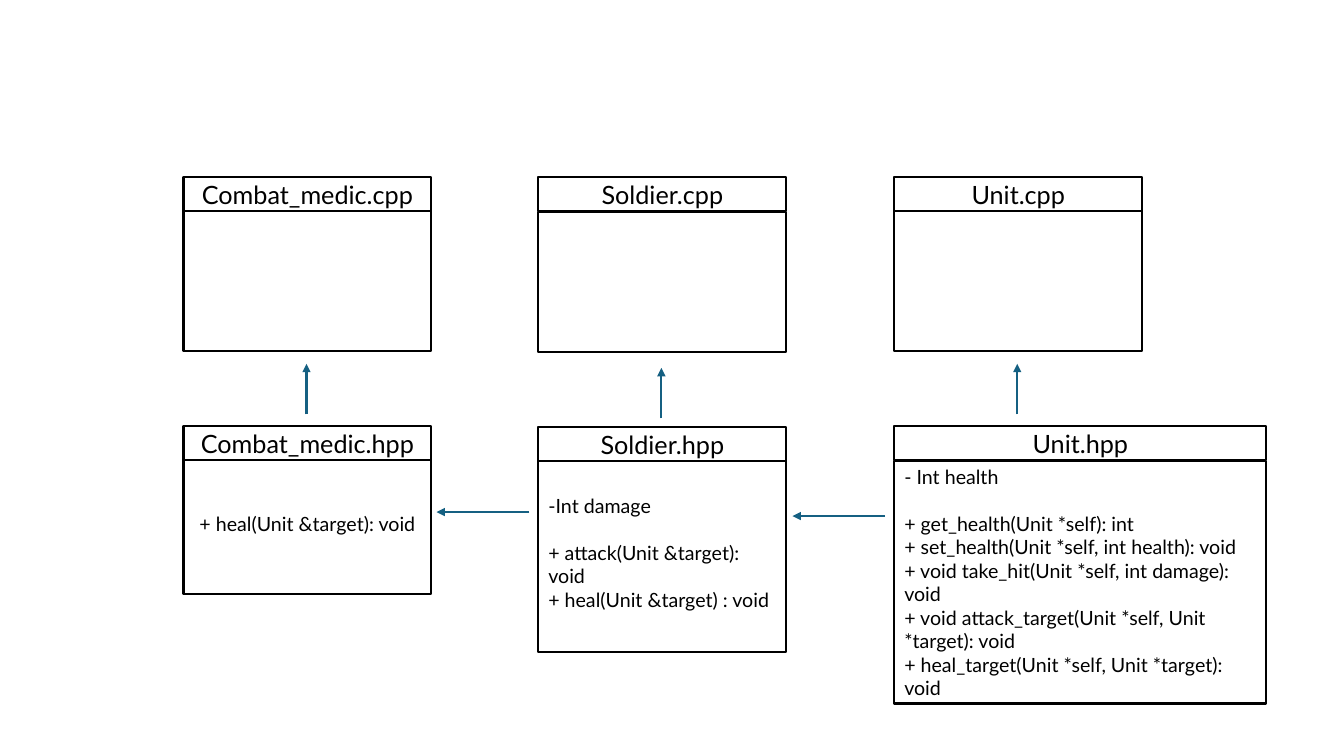
from dataclasses import dataclass

from lxml.etree import SubElement
from pptx import Presentation
from pptx.dml.color import RGBColor
from pptx.enum.shapes import MSO_CONNECTOR as Connector, MSO_SHAPE as Shape
from pptx.enum.text import MSO_ANCHOR as Anchor, PP_ALIGN as Align
from pptx.oxml.ns import qn
from pptx.util import Inches, Pt


@dataclass(frozen=True)
class Theme:
    """Colours, type and line sizes of the diagram."""
    font: str = "Lato"
    paper: RGBColor = RGBColor(255, 255, 255)
    ink: RGBColor = RGBColor(0, 0, 0)
    arrow: RGBColor = RGBColor(0x15, 0x60, 0x82)
    title: Pt = Pt(18)
    member: Pt = Pt(14)
    section_gap: Pt = Pt(16.8)
    stroke: Pt = Pt(1.5)


THEME = Theme()
HEADER_HEIGHT = 0.33
BOX_WIDTH = 2.46
BODY_HEIGHT = 1.39
MEDIC_X, SOLDIER_X, UNIT_X = 1.82, 5.34, 8.87

SOLDIER_SECTIONS = [
    ["-Int damage"],
    ["+ attack(Unit &target): void", "+ heal(Unit &target) : void"],
]
UNIT_SECTIONS = [
    ["- Int health"],
    [
        "+ get_health(Unit *self): int",
        "+ set_health(Unit *self, int health): void",
        "+ void take_hit(Unit *self, int damage): void",
        "+ void attack_target(Unit *self, Unit *target): void",
        "+ heal_target(Unit *self, Unit *target): void",
    ],
]

# name, left, header top, body top, width, body height, sections, alignment
FILES = [
    ("Combat_medic.cpp", MEDIC_X, 1.76, 2.09, BOX_WIDTH, BODY_HEIGHT, [], Align.LEFT),
    ("Soldier.cpp", SOLDIER_X, 1.76, 2.1, BOX_WIDTH, BODY_HEIGHT, [], Align.LEFT),
    ("Unit.cpp", UNIT_X, 1.76, 2.09, BOX_WIDTH, BODY_HEIGHT, [], Align.LEFT),
    ("Combat_medic.hpp", MEDIC_X, 4.23, 4.5, BOX_WIDTH, BODY_HEIGHT,
     [["+ heal(Unit &target): void"]], Align.CENTER),
    ("Soldier.hpp", SOLDIER_X, 4.24, 4.49, BOX_WIDTH, 1.98, SOLDIER_SECTIONS, Align.LEFT),
    ("Unit.hpp", UNIT_X, 4.23, 4.57, 3.69, 2.41, UNIT_SECTIONS, Align.LEFT),
]

INCLUDE_ARROWS = [(3.04, 4.11), (6.56, 4.15), (10.09, 4.11)]
INHERIT_ARROWS = [(5.25, 5.08), (8.78, 5.12)]


def add_box(page, left, top, width, height, sections, size, align):
    """Draw an outlined rectangle holding sections of text lines."""
    box = page.shapes.add_shape(Shape.RECTANGLE, *map(Inches, (left, top, width, height)))
    box.shadow.inherit = False
    box.fill.solid()
    box.fill.fore_color.rgb = THEME.paper
    box.line.color.rgb = THEME.ink
    box.line.width = THEME.stroke
    frame = box.text_frame
    frame.word_wrap = True
    frame.vertical_anchor = Anchor.MIDDLE
    lines = [(text, section and not row)
             for section, texts in enumerate(sections) for row, text in enumerate(texts)]
    for index, (text, opens_section) in enumerate(lines):
        para = frame.add_paragraph() if index else frame.paragraphs[0]
        para.alignment = align
        if opens_section:
            para.space_before = THEME.section_gap
        span = para.add_run()
        span.text = text
        for name, value in {"name": THEME.font, "size": size}.items():
            setattr(span.font, name, value)
        span.font.color.rgb = THEME.ink


def add_file(page, name, left, header_top, body_top, width, body_height, sections, align):
    """Draw a source file as a body with a title bar on top."""
    add_box(page, left, body_top, width, body_height, sections, THEME.member, align)
    add_box(page, left, header_top, width, HEADER_HEIGHT, [[name]], THEME.title, Align.CENTER)


def add_arrow(page, start_x, start_y, across, down):
    """Draw a straight arrow from a start point by an offset."""
    ends = map(Inches, (start_x, start_y, start_x + across, start_y + down))
    arrow = page.shapes.add_connector(Connector.STRAIGHT, *ends)
    arrow.line.color.rgb = THEME.arrow
    arrow.line.width = THEME.stroke
    SubElement(arrow.line._get_or_add_ln(), qn("a:tailEnd"), type="triangle")
    SubElement(arrow._element.spPr, qn("a:effectLst"))


def main():
    """Build and save the class diagram."""
    deck = Presentation()
    deck.slide_width, deck.slide_height = Inches(13.33), Inches(7.5)
    page = deck.slides.add_slide(deck.slide_layouts[6])
    for file in FILES:
        add_file(page, *file)
    for start in INHERIT_ARROWS:
        add_arrow(page, *start, across=-0.92, down=0)
    for start in INCLUDE_ARROWS:
        add_arrow(page, *start, across=0, down=-0.5)
    deck.save("out.pptx")


if __name__ == "__main__":
    main()
